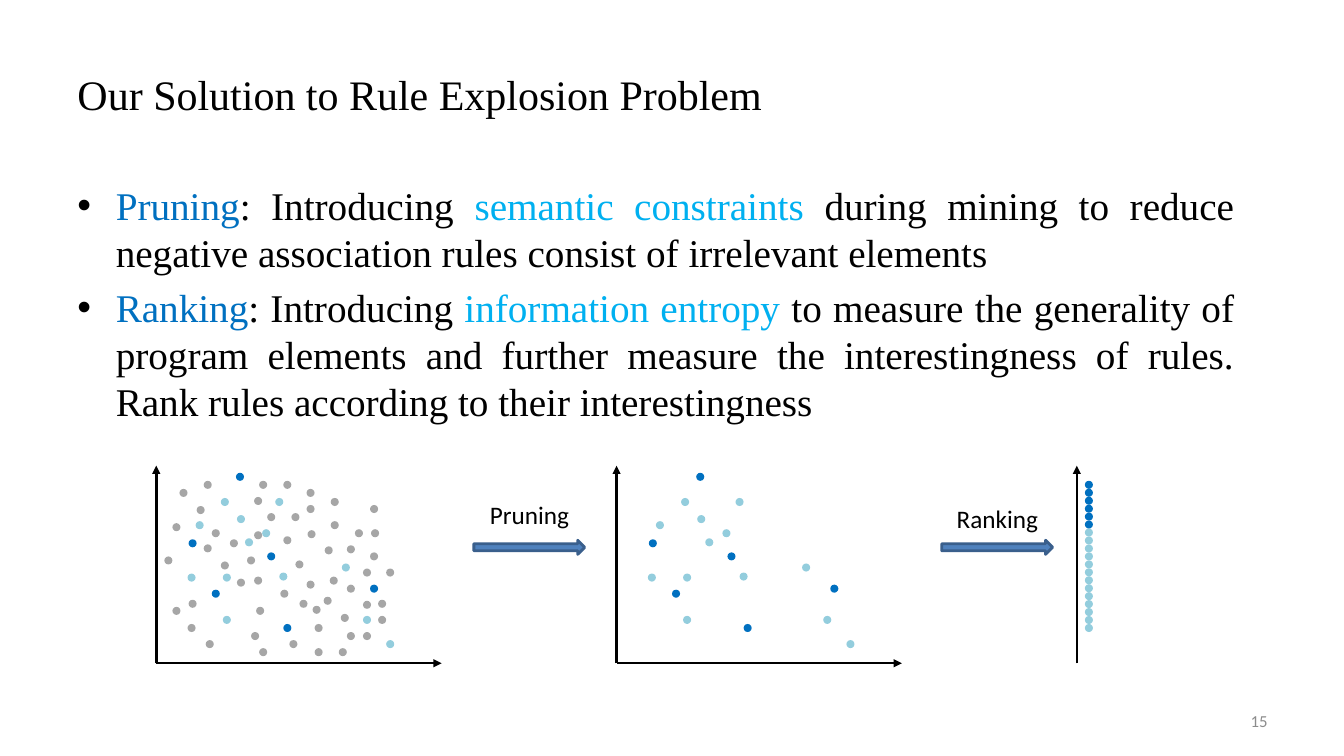
from dataclasses import dataclass
from itertools import chain

import pptx
import pptx.dml.color
import pptx.enum.shapes
import pptx.enum.text
import pptx.oxml
import pptx.oxml.ns
import pptx.util
from pptx.util import Inches

COLORS = {
    "black": "000000", "number": "8C8C8C", "term": "0070C0", "idea": "00B0F0",
    "noise": "A6A6A6", "relevant": "93CDDD", "top": "0070C0",
    "arrow": "4F81BD", "arrow_edge": "3A5F8C",
}
SERIF, SANS = "Times New Roman", "Calibri"
ALIGN = pptx.enum.text.PP_ALIGN
ANCHOR = pptx.enum.text.MSO_ANCHOR
SHAPE = pptx.enum.shapes.MSO_SHAPE

DOT = 0.08
AXIS_TOP, AXIS_BOTTOM, AXIS_WIDTH = 4.62, 6.58, 2.83
PLOT_LEFT, PLOT_RIGHT = 1.55, 10.68
PLOT_STEP = (PLOT_RIGHT - PLOT_LEFT) / 2
STACK_TOP, STACK_BOTTOM = 4.77, 6.19

NOISE_POINTS = [
    (2.02, 4.77), (2.93, 5.56), (3.1, 6.01), (3.27, 5.72), (3.12, 6.19), (2.02, 5.4),
    (1.78, 4.85), (1.95, 5.02), (1.71, 5.19), (2.28, 5.35), (2.45, 5.52), (2.78, 5.85),
    (1.71, 6.02), (1.86, 6.19), (1.63, 5.52), (2.54, 6.02), (2.49, 6.27), (2.87, 6.35),
    (1.87, 5.95), (2.04, 6.35), (2.19, 5.57), (2.35, 5.74), (2.52, 5.72), (2.1, 5.25),
    (2.52, 4.93), (2.89, 5.09), (2.65, 5.09), (2.52, 5.27), (3.05, 5.26), (3.22, 5.42),
    (3.04, 5.76), (3.21, 5.92), (3.38, 6.09), (3.44, 5.8), (3.6, 5.96), (2.81, 4.77),
    (2.57, 4.77), (3.04, 4.85), (3.04, 5.01), (3.28, 4.94), (3.28, 5.17), (3.67, 5.01),
    (2.81, 5.32), (3.52, 5.25), (2.57, 6.43), (2.97, 5.95), (3.67, 5.48), (3.12, 6.43),
    (3.36, 6.43), (3.44, 6.27), (3.6, 6.27), (3.44, 5.41), (3.68, 5.25), (3.6, 5.64),
    (3.83, 5.64), (3.75, 5.95), (3.75, 6.11),
]
RELEVANT_POINTS = [
    (1.94, 5.17), (2.43, 5.34), (2.6, 5.25), (2.77, 5.68), (1.86, 5.69), (2.21, 5.69),
    (2.21, 6.11), (2.19, 4.94), (2.35, 5.11), (3.39, 5.59), (2.73, 4.94), (3.83, 6.35),
    (3.6, 6.11),
]
TOP_POINTS = [
    (2.81, 6.19), (1.87, 5.35), (2.1, 5.85), (2.65, 5.48), (2.34, 4.69), (3.67, 5.8),
]


@dataclass
class Rule:
    """A dot that stands for one mined rule."""
    left: float
    top: float
    kind: str


@dataclass
class Step:
    """A block arrow between two plots, with its label."""
    label: str
    arrow_left: float
    label_left: float
    label_top: float


STEPS = [Step("Pruning", 4.7, 4.76, 4.9), Step("Ranking", 9.34, 9.39, 4.94)]

BULLETS = [
    [("Pruning", "term"), (": Introducing ", "black"), ("semantic constraints", "idea"),
     (" during mining to reduce negative association rules consist of irrelevant elements",
      "black")],
    [("Ranking", "term"), (": Introducing ", "black"), ("information entropy ", "idea"),
     ("to measure the generality of program elements and further measure the "
      "interestingness of rules. Rank rules according to their interestingness", "black")],
]


def rgb(name: str) -> pptx.dml.color.RGBColor:
    """Look up a named colour."""
    return pptx.dml.color.RGBColor.from_string(COLORS[name])


def add_box(page, left: float, top: float, width: float, height: float,
            anchor=ANCHOR.TOP, wrap: bool = True):
    """Add an empty text box and return its text frame."""
    box = page.shapes.add_textbox(Inches(left), Inches(top), Inches(width), Inches(height))
    box.text_frame.word_wrap = wrap
    box.text_frame.vertical_anchor = anchor
    return box.text_frame


def write(para, text: str, *, size: float, font: str, color: str = "black",
          align=None) -> None:
    """Append formatted text to a paragraph."""
    span = para.add_run()
    span.text = text
    span.font.size = pptx.util.Pt(size)
    span.font.name = font
    span.font.color.rgb = rgb(color)
    if align is not None:
        para.alignment = align


def set_bullet(para) -> None:
    """Give a paragraph a hanging black bullet."""
    props = para._p.get_or_add_pPr()
    props.set("marL", str(Inches(0.38)))
    props.set("indent", str(-Inches(0.38)))
    space = pptx.oxml.ns.nsdecls("a")
    for xml in (f'<a:buClr {space}><a:srgbClr val="{COLORS["black"]}"/></a:buClr>',
                f'<a:buFont {space} typeface="Arial"/>',
                f'<a:buChar {space} char="\u2022"/>'):
        props.append(pptx.oxml.parse_xml(xml))


def add_bullets(page) -> None:
    """Write the two justified bullet points."""
    frame = add_box(page, 0.67, 1.75, 11.67, 2.77)
    for index, pieces in enumerate(BULLETS):
        para = frame.add_paragraph() if index else frame.paragraphs[0]
        para.space_before = pptx.util.Pt(5.6 if index else 0)
        set_bullet(para)
        for text, color in pieces:
            write(para, text, size=28, font=SERIF, color=color, align=ALIGN.JUSTIFY)


def add_axis(page, left: float, end_left: float, end_top: float) -> None:
    """Draw an arrow from the foot of a plot to the given end."""
    axis = page.shapes.add_connector(
        pptx.enum.shapes.MSO_CONNECTOR.STRAIGHT,
        Inches(left), Inches(AXIS_BOTTOM), Inches(end_left), Inches(end_top))
    axis.line.color.rgb = rgb("black")
    axis.line.width = pptx.util.Pt(1.75)
    space = pptx.oxml.ns.nsdecls("a")
    axis.line._get_or_add_ln().append(
        pptx.oxml.parse_xml(f'<a:tailEnd {space} type="triangle"/>'))
    axis._element.spPr.append(pptx.oxml.parse_xml(f"<a:effectLst {space}/>"))


def add_solid(page, preset, left: float, top: float, width: float, height: float,
              fill: str):
    """Add a filled preset shape without outline or shadow."""
    shape = page.shapes.add_shape(
        preset, Inches(left), Inches(top), Inches(width), Inches(height))
    shape.shadow.inherit = False
    shape.fill.solid()
    shape.fill.fore_color.rgb = rgb(fill)
    shape.line.fill.background()
    return shape


def add_plot(page, column: int, rules: list[Rule], flat: bool = True) -> None:
    """Draw the axes of one plot and its rules."""
    left = PLOT_LEFT + column * PLOT_STEP
    add_axis(page, left, left, AXIS_TOP)
    if flat:
        add_axis(page, left, left + AXIS_WIDTH, AXIS_BOTTOM)
    for rule in rules:
        add_solid(page, SHAPE.FLOWCHART_CONNECTOR, rule.left + column * PLOT_STEP,
                  rule.top, DOT, DOT, rule.kind)


def add_step(page, step: Step) -> None:
    """Draw a block arrow and its label."""
    arrow = add_solid(page, SHAPE.RIGHT_ARROW, step.arrow_left, 5.36, 1.1, 0.14, "arrow")
    arrow.line.color.rgb = rgb("arrow_edge")
    arrow.line.width = pptx.util.Pt(2)
    frame = add_box(page, step.label_left, step.label_top, 1.1, 0.4, wrap=False)
    write(frame.paragraphs[0], step.label, size=18, font=SANS, align=ALIGN.LEFT)


deck = pptx.Presentation()
deck.slide_width, deck.slide_height = Inches(13.33), Inches(7.5)
page = deck.slides.add_slide(deck.slide_layouts[6])

title = add_box(page, 0.67, 0.3, 12, 1.25, ANCHOR.MIDDLE)
write(title.paragraphs[0], "Our Solution to Rule Explosion Problem", size=30, font=SERIF)
add_bullets(page)
number = add_box(page, 9.56, 6.95, 3.11, 0.4, ANCHOR.MIDDLE)
write(number.paragraphs[0], "15", size=12, font=SANS, color="number", align=ALIGN.RIGHT)

noise = [Rule(*point, "noise") for point in NOISE_POINTS]
kept = list(chain((Rule(*point, "top") for point in TOP_POINTS),
                  (Rule(*point, "relevant") for point in RELEVANT_POINTS)))
pitch = (STACK_BOTTOM - STACK_TOP) / (len(kept) - 1)
ranked = [Rule(PLOT_LEFT + DOT, STACK_TOP + rank * pitch, rule.kind)
          for rank, rule in enumerate(kept)]

add_plot(page, 0, noise + kept)
add_plot(page, 1, kept)
add_plot(page, 2, ranked, flat=False)
for step in STEPS:
    add_step(page, step)

deck.save("out.pptx")
